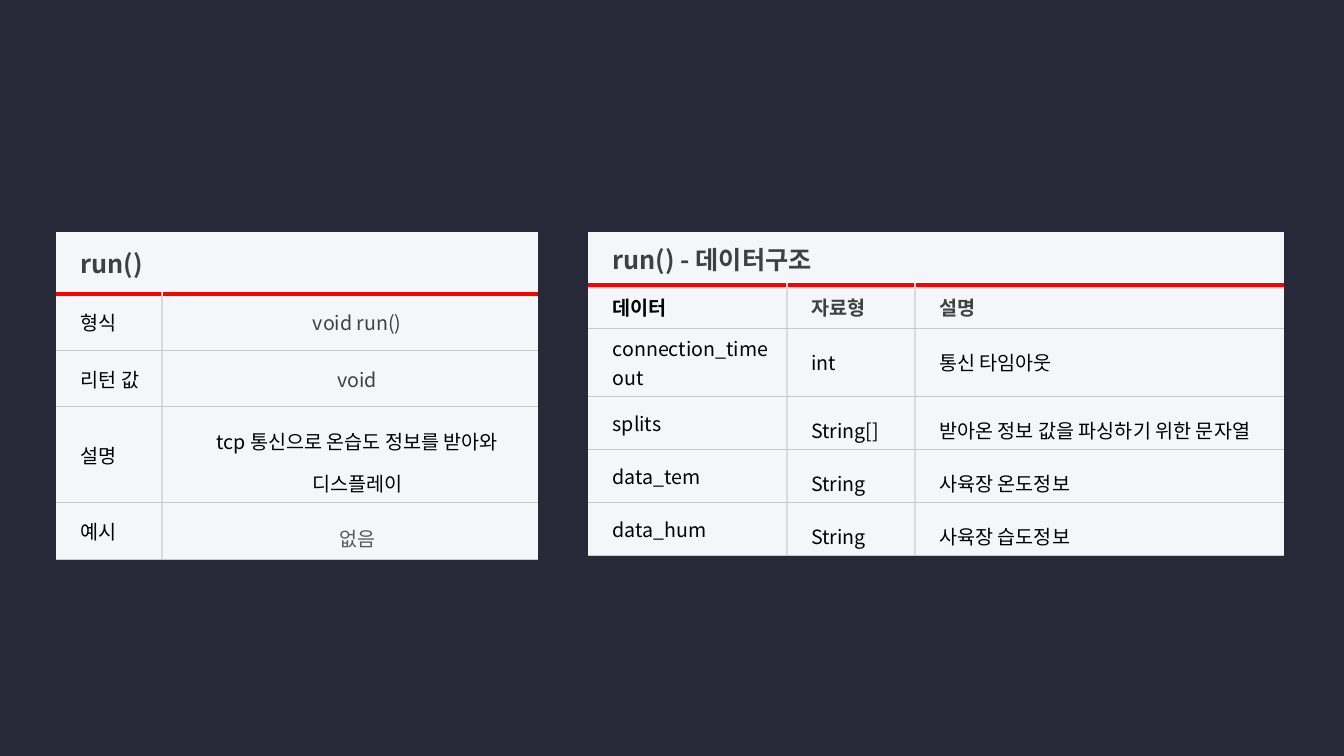
from lxml.etree import SubElement
from pptx import Presentation
from pptx.dml.color import RGBColor
from pptx.enum.text import MSO_ANCHOR, PP_ALIGN
from pptx.oxml.ns import qn
from pptx.util import Cm, Pt

FONT = "Noto Sans CJK KR"
BLACK, DARK, GRAY = "000000", "404040", "595959"
PANEL, BACKGROUND = "F5F6F9", "272938"
HEADER_RULE = ("FF0000", 3)
ROW_RULE = ("CACACA", 1)
COLUMN_RULE = ("D9D9D9", 1.5)


def color(value):
    return RGBColor.from_string(value)


def entry(text, ink=BLACK, spacing=None, align=PP_ALIGN.LEFT, bold=False, size=14):
    return dict(text=text, ink=ink, spacing=spacing, align=align, bold=bold, size=size)


def heading(text):
    return entry(text, DARK, bold=True, size=18)


def centered(text, ink=BLACK, spacing=None):
    return entry(text, ink, spacing, PP_ALIGN.CENTER)


def add_border(cell, side, rule):
    line = SubElement(cell._tc.get_or_add_tcPr(), qn(f"a:ln{side}"))
    if rule is None:
        SubElement(line, qn("a:noFill"))
        return
    ink, width = rule
    line.set("w", str(Pt(width)))
    fill = SubElement(line, qn("a:solidFill"))
    SubElement(fill, qn("a:srgbClr")).set("val", ink)


def frame_cell(cell, row, column, last_column):
    # The header has only its red rule; other cells form an open-sided grid
    header = row == 0
    borders = {
        "L": None if header or column == 0 else COLUMN_RULE,
        "R": None if header or column == last_column else COLUMN_RULE,
        "T": None if header else HEADER_RULE if row == 1 else ROW_RULE,
        "B": HEADER_RULE if header else ROW_RULE,
    }
    for side, rule in borders.items():
        add_border(cell, side, rule)
    cell.fill.solid()
    cell.fill.fore_color.rgb = color(PANEL)


def write_cell(cell, content):
    cell.vertical_anchor = MSO_ANCHOR.MIDDLE
    cell.margin_left, cell.margin_right = Cm(0.61), Cm(0.25)
    cell.margin_top = cell.margin_bottom = Cm(0.13)
    para = cell.text_frame.paragraphs[0]
    para.text = content["text"]
    para.alignment = content["align"]
    if content["spacing"]:
        para.line_spacing = content["spacing"]
    font = para.font
    font.name, font.size, font.bold = FONT, Pt(content["size"]), content["bold"]
    font.color.rgb = color(content["ink"])
    # Hangul takes the East Asian typeface
    SubElement(para._p.pPr.find(qn("a:defRPr")), qn("a:ea")).set("typeface", FONT)


def add_panel(page, left, widths, heights, title, rows):
    frame = page.shapes.add_table(len(heights), len(widths), Cm(left), Cm(5.84),
                                  Cm(sum(widths)), Cm(sum(heights)))
    table = frame.table
    table.first_row = table.horz_banding = False
    for column, width in zip(table.columns, widths):
        column.width = Cm(width)
    for row, height in zip(table.rows, heights):
        row.height = Cm(height)
    for row in range(len(heights)):
        for column in range(len(widths)):
            frame_cell(table.cell(row, column), row, column, len(widths) - 1)
    table.cell(0, 0).merge(table.cell(0, len(widths) - 1))
    write_cell(table.cell(0, 0), heading(title))
    for row, contents in enumerate(rows, start=1):
        for column, content in enumerate(contents):
            write_cell(table.cell(row, column), content)


def main():
    deck = Presentation()
    deck.slide_width, deck.slide_height = Cm(33.87), Cm(19.05)
    page = deck.slides.add_slide(deck.slide_layouts[6])
    page.background.fill.solid()
    page.background.fill.fore_color.rgb = color(BACKGROUND)

    # Method summary
    summary = [
        (entry("형식"), centered("void run()", DARK)),
        (entry("리턴 값"), centered("void", DARK)),
        (entry("설명"), centered("tcp 통신으로 온습도 정보를 받아와 디스플레이", spacing=1.5)),
        (entry("예시"), centered("없음", GRAY, 1.5)),
    ]
    add_panel(page, 1.42, [2.67, 9.47], [1.57] + [1.42] * 4, "run()", summary)

    # Data structure
    fields = [
        ("connection_timeout", "int", "통신 타임아웃", None),
        ("splits", "String[]", "받아온 정보 값을 파싱하기 위한 문자열", 1.5),
        ("data_tem", "String", "사육장 온도정보", 1.5),
        ("data_hum", "String", "사육장 습도정보", 1.5),
    ]
    structure = [(entry("데이터", bold=True), entry("자료형", DARK, bold=True),
                  entry("설명", DARK, bold=True))]
    structure += [(entry(name), entry(kind, spacing=spacing), entry(note, spacing=spacing))
                  for name, kind, note, spacing in fields]
    add_panel(page, 14.83, [5, 3.23, 9.3], [1.35, 1.09] + [1.22] * 4,
              "run() - 데이터구조", structure)

    deck.save("out.pptx")


if __name__ == "__main__":
    main()
